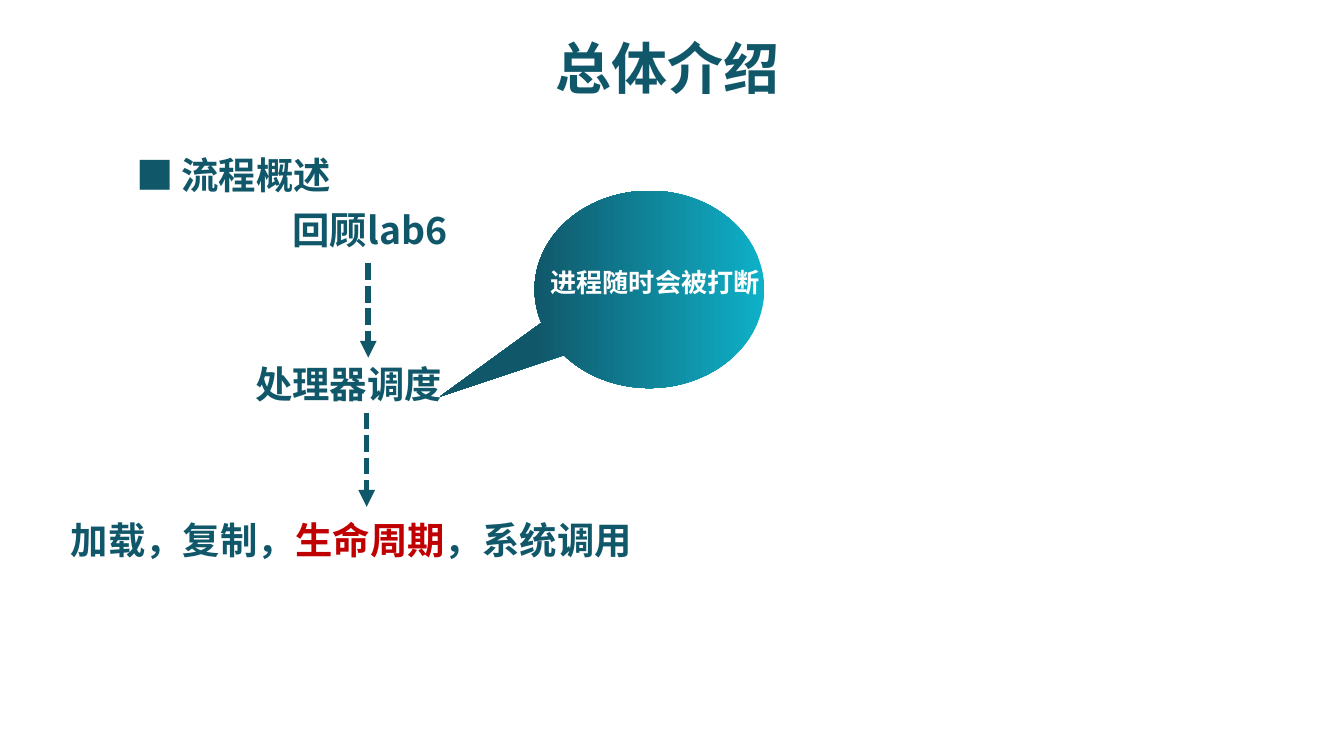
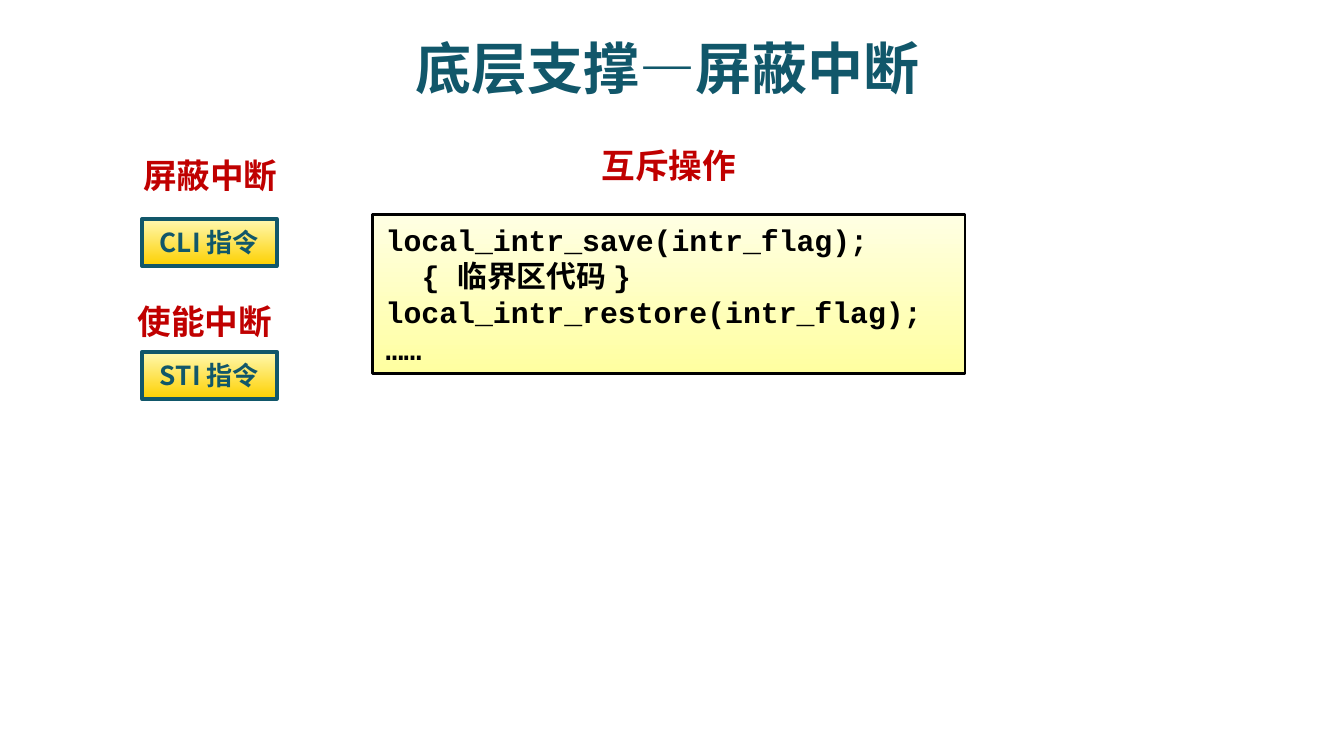
from lxml import etree
from pptx import Presentation
from pptx.dml.color import RGBColor
from pptx.enum.dml import MSO_LINE
from pptx.enum.shapes import MSO_CONNECTOR, MSO_SHAPE
from pptx.enum.text import MSO_ANCHOR, PP_ALIGN
from pptx.oxml.ns import qn
from pptx.util import Cm, Pt

TEAL = RGBColor(0x11, 0x57, 0x6A)
CYAN = RGBColor(0x0E, 0xB1, 0xC8)
RED = RGBColor(0xC0, 0x00, 0x00)
WHITE = RGBColor(0xFF, 0xFF, 0xFF)
BLACK = RGBColor(0x00, 0x00, 0x00)
CREAM = RGBColor(0xFF, 0xF9, 0xB1)
GOLD = RGBColor(0xFD, 0xD0, 0x00)
LEMON = RGBColor(0xFF, 0xFF, 0xA0)
IVORY = RGBColor(0xFF, 0xFF, 0xE3)
SANS_SC = "Noto Sans CJK SC"
SANS_JP = "Noto Sans CJK JP"
MONO = "Courier New"


def write(para, text, size=20, color=TEAL, font=SANS_SC, east=None, align=PP_ALIGN.LEFT):
    para.alignment = align
    span = para.add_run()
    span.text = text
    span.font.size = Pt(size)
    span.font.bold = True
    span.font.color.rgb = color
    span.font.name = font
    latin = span.font._element.find(qn("a:latin"))
    east_font = etree.Element(qn("a:ea"), typeface=east or font)
    latin.addnext(east_font)


def add_text(page, place, text, wrap=True, **look):
    box = page.shapes.add_textbox(*[Cm(length) for length in place])
    box.text_frame.word_wrap = wrap
    box.text_frame.margin_top = 0
    para = box.text_frame.paragraphs[0]
    write(para, text, **look)
    return para


deck = Presentation()
deck.slide_width = Cm(25.4)
deck.slide_height = Cm(14.29)
pages = []
for title in ("总体介绍", "底层支撑—屏蔽中断"):
    page = deck.slides.add_slide(deck.slide_layouts[6])
    add_text(page, (1.19, 0.64, 22.86, 1.42), title, size=30, align=PP_ALIGN.CENTER)
    pages.append(page)
overview, masking = pages

add_text(overview, (3.18, 2.87, 3.96, 1.19), "流程概述")
add_text(overview, (2.34, 2.87, 1.19, 1.12), "■", font=SANS_JP)
add_text(overview, (5.28, 3.91, 4.47, 1.14), "回顾lab6")
steps = add_text(overview, (1.09, 9.78, 11.99, 1.19), "加载，复制，")
write(steps, "生命周期", color=RED)
write(steps, "，系统调用")
add_text(overview, (4.29, 6.83, 4.6, 1.14), "处理器调度", align=PP_ALIGN.CENTER)

for x, top in ((6.96, 4.98), (6.93, 7.8)):
    arrow = overview.shapes.add_connector(
        MSO_CONNECTOR.STRAIGHT, Cm(x), Cm(top), Cm(x), Cm(top + 1.78))
    arrow.line.color.rgb = TEAL
    arrow.line.width = Pt(3)
    arrow.line.dash_style = MSO_LINE.SQUARE_DOT
    etree.SubElement(arrow.line._get_or_add_ln(), qn("a:tailEnd"), type="triangle")
    etree.SubElement(arrow._element.spPr, qn("a:effectLst"))

callout = overview.shapes.add_shape(
    MSO_SHAPE.OVAL_CALLOUT, Cm(10.41), Cm(3.3), Cm(3.73), Cm(4.34))
callout.rotation = 90
callout._element.spPr.find(qn("a:xfrm")).set("flipH", "1")
callout.adjustments[0] = -0.544
callout.adjustments[1] = 0.913
callout.line.fill.background()
add_text(overview, (10.06, 5.03, 4.65, 1.14), "进程随时会被打断",
         size=14, color=WHITE, align=PP_ALIGN.CENTER)

buttons = []
for top, text in ((4.14, "CLI 指令"), (6.65, "STI 指令")):
    button = masking.shapes.add_shape(
        MSO_SHAPE.RECTANGLE, Cm(2.69), Cm(top), Cm(2.54), Cm(0.89))
    button.line.color.rgb = TEAL
    button.line.width = Pt(2.25)
    button.text_frame.word_wrap = False
    button.text_frame.vertical_anchor = MSO_ANCHOR.MIDDLE
    write(button.text_frame.paragraphs[0], text, size=14, align=PP_ALIGN.CENTER)
    buttons.append(button)

for place, text, font, wrap in (
    ((2.44, 2.92, 3.07, 1.02), "屏蔽中断", SANS_JP, False),
    ((2.34, 5.69, 3.07, 1.02), "使能中断", SANS_JP, False),
    ((10.39, 2.74, 4.5, 1.02), "互斥操作", SANS_SC, True),
):
    add_text(masking, place, text, wrap=wrap, size=18, color=RED, font=font,
             align=PP_ALIGN.CENTER)

code = masking.shapes.add_shape(
    MSO_SHAPE.RECTANGLE, Cm(7.04), Cm(4.06), Cm(11.2), Cm(3))
code.line.color.rgb = BLACK
code.line.width = Pt(1.5)
frame = code.text_frame
frame.word_wrap = True
frame.vertical_anchor = MSO_ANCHOR.TOP
lines = (
    ("local_intr_save(intr_flag);", 0),
    ("{ 临界区代码 }", 0.68),
    ("local_intr_restore(intr_flag);", 0),
    ("……", 0),
)
for index, (text, indent) in enumerate(lines):
    para = frame.add_paragraph() if index else frame.paragraphs[0]
    para.line_spacing = Pt(19.4)
    write(para, text, size=16, color=BLACK, font=MONO, east=SANS_SC)
    if indent:
        para._p.get_or_add_pPr().set("marL", str(Cm(indent)))

for shape, start, end, angle in (
    (callout, CYAN, TEAL, 270),
    (buttons[0], CREAM, GOLD, 270),
    (buttons[1], CREAM, GOLD, 270),
    (code, LEMON, IVORY, 90),
):
    shape.shadow.inherit = False
    shape.fill.gradient()
    shape.fill.gradient_angle = angle
    for stop, color, position in zip(shape.fill.gradient_stops, (start, end), (0, 1)):
        stop.color.rgb = color
        stop.position = position

deck.save("out.pptx")
